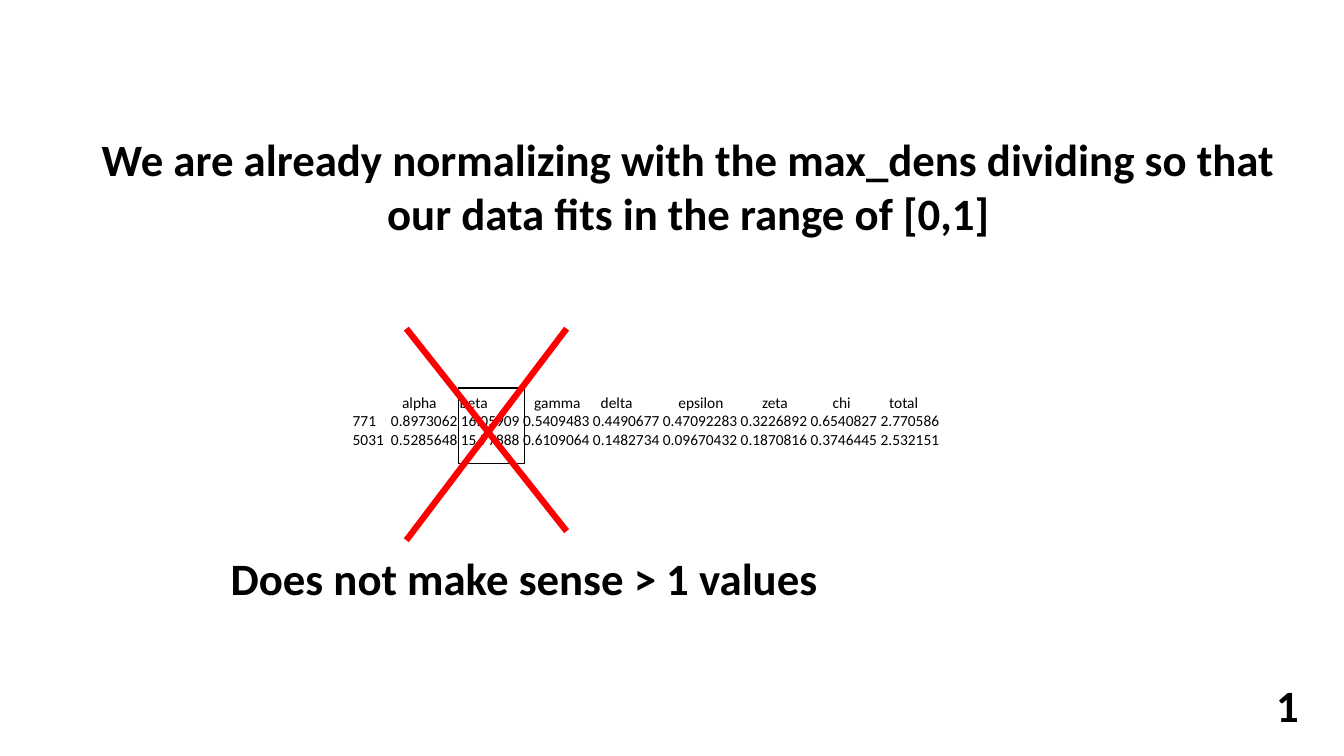
from lxml import etree
from pptx import Presentation
from pptx.dml.color import RGBColor
from pptx.enum.shapes import MSO_CONNECTOR, MSO_SHAPE
from pptx.enum.text import MSO_AUTO_SIZE, PP_ALIGN
from pptx.oxml.ns import qn
from pptx.util import Inches, Pt

STRAIGHT = MSO_CONNECTOR.STRAIGHT
RECTANGLE = MSO_SHAPE.RECTANGLE
GROW = MSO_AUTO_SIZE.SHAPE_TO_FIT_TEXT
LEFT, CENTER = PP_ALIGN.LEFT, PP_ALIGN.CENTER

FONT = "Calibri"
BLACK = "000000"
RED = "FF0000"

HEADER = "\talpha\tbeta\tgamma\tdelta\tepsilon\tzeta\tchi\ttotal"
HEADER_TABS = [0.49, 1.06, 1.8, 2.46, 3.23, 4.06, 4.76, 5.32]
ROWS = [
    "771\t0.8973062 16.05909 0.5409483 0.4490677 0.47092283 0.3226892 0.6540827 2.770586",
    "5031\t0.5285648 15.77888 0.6109064 0.1482734 0.09670432 0.1870816 0.3746445 2.532151",
]
ROW_TABS = [0.38]


def color(value):
    return RGBColor.from_string(value)


def set_tabs(p, stops):
    tabs = etree.SubElement(p._p.get_or_add_pPr(), qn("a:tabLst"))
    for stop in stops:
        etree.SubElement(tabs, qn("a:tab"), pos=str(Inches(stop)), algn="l")


def add_text(s, lines, x, y, w, h, size=32, bold=True, align=LEFT, wrap=False, tabs=()):
    sp = s.shapes.add_textbox(Inches(x), Inches(y), Inches(w), Inches(h))
    tf = sp.text_frame
    tf.word_wrap = wrap
    tf.auto_size = GROW
    for i, line in enumerate(lines):
        p = tf.add_paragraph() if i else tf.paragraphs[0]
        p.alignment = align
        if tabs:
            set_tabs(p, tabs[i])
        r = p.add_run()
        r.text = line
        r.font.name = FONT
        r.font.size = Pt(size)
        r.font.bold = bold
        r.font.color.rgb = color(BLACK)


def add_frame(s, x, y, w, h):
    sp = s.shapes.add_shape(RECTANGLE, Inches(x), Inches(y), Inches(w), Inches(h))
    sp.shadow.inherit = False
    sp.fill.background()
    sp.line.color.rgb = color(BLACK)
    sp.line.width = Pt(1)


def add_stroke(s, x1, y1, x2, y2):
    line = s.shapes.add_connector(STRAIGHT, Inches(x1), Inches(y1), Inches(x2), Inches(y2))
    line.line.color.rgb = color(RED)
    line.line.width = Pt(4.5)
    etree.SubElement(line._element.spPr, qn("a:effectLst"))


def main():
    prs = Presentation()
    prs.slide_width, prs.slide_height = Inches(13.33), Inches(7.5)
    s = prs.slides.add_slide(prs.slide_layouts[6])

    title = ["We are already normalizing with the max_dens dividing so that",
             "our data fits in the range of [0,1]"]
    add_text(s, title, 0.86, 1.26, 11.94, 1.18, align=CENTER)
    add_text(s, [HEADER, *ROWS], 3.4, 3.85, 6.67, 0.66, size=11, bold=False, wrap=True,
             tabs=[HEADER_TABS, ROW_TABS, ROW_TABS])
    add_frame(s, 4.55, 3.85, 0.65, 0.75)
    add_stroke(s, 4.03, 3.26, 5.62, 5.27)
    add_stroke(s, 4.03, 5.36, 5.62, 3.26)
    add_text(s, ["Does not make sense > 1 values"], 2.16, 5.41, 6.08, 0.64, align=CENTER)
    add_text(s, ["1"], 12.56, 6.67, 0.43, 0.94)

    prs.save("out.pptx")


if __name__ == "__main__":
    main()
